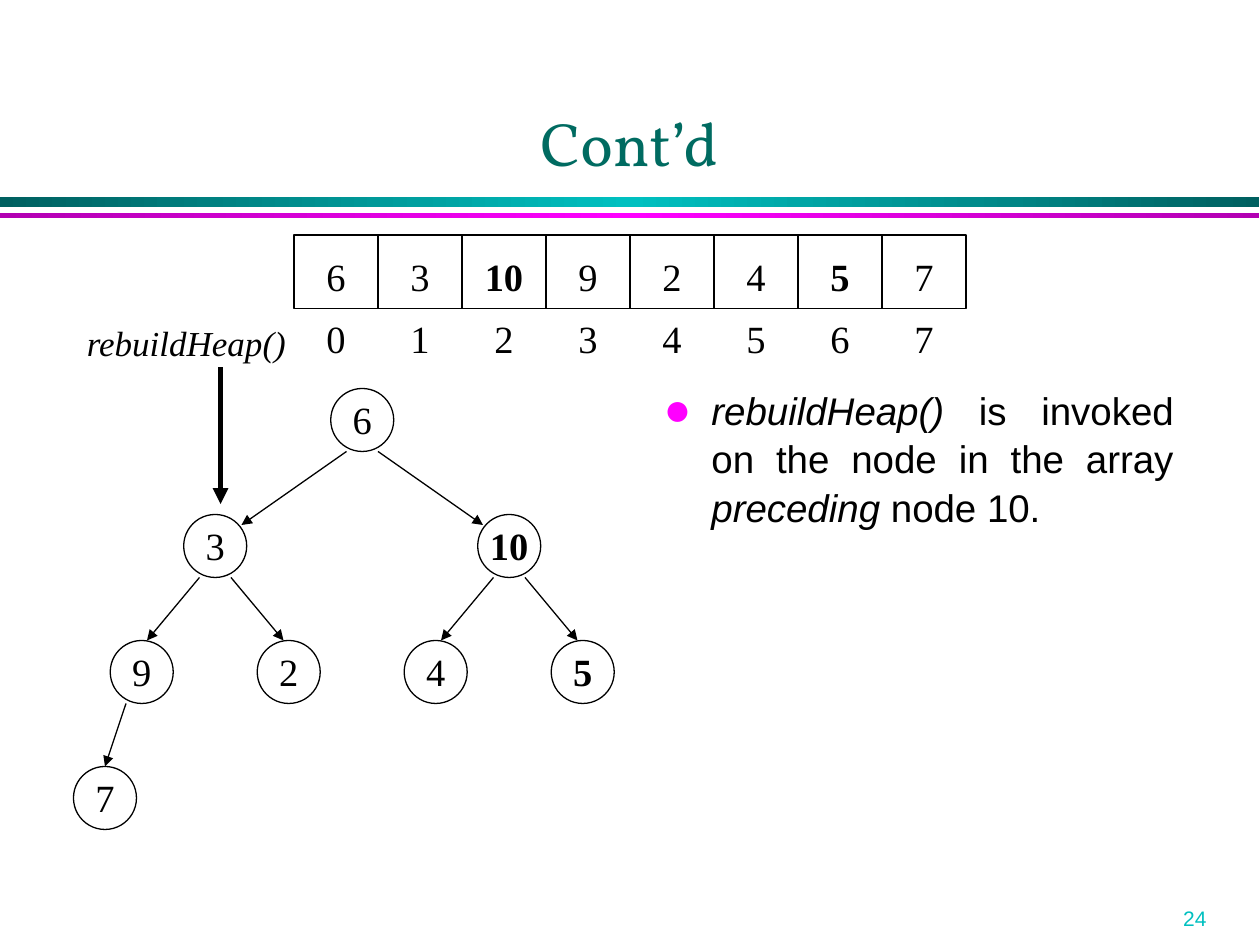
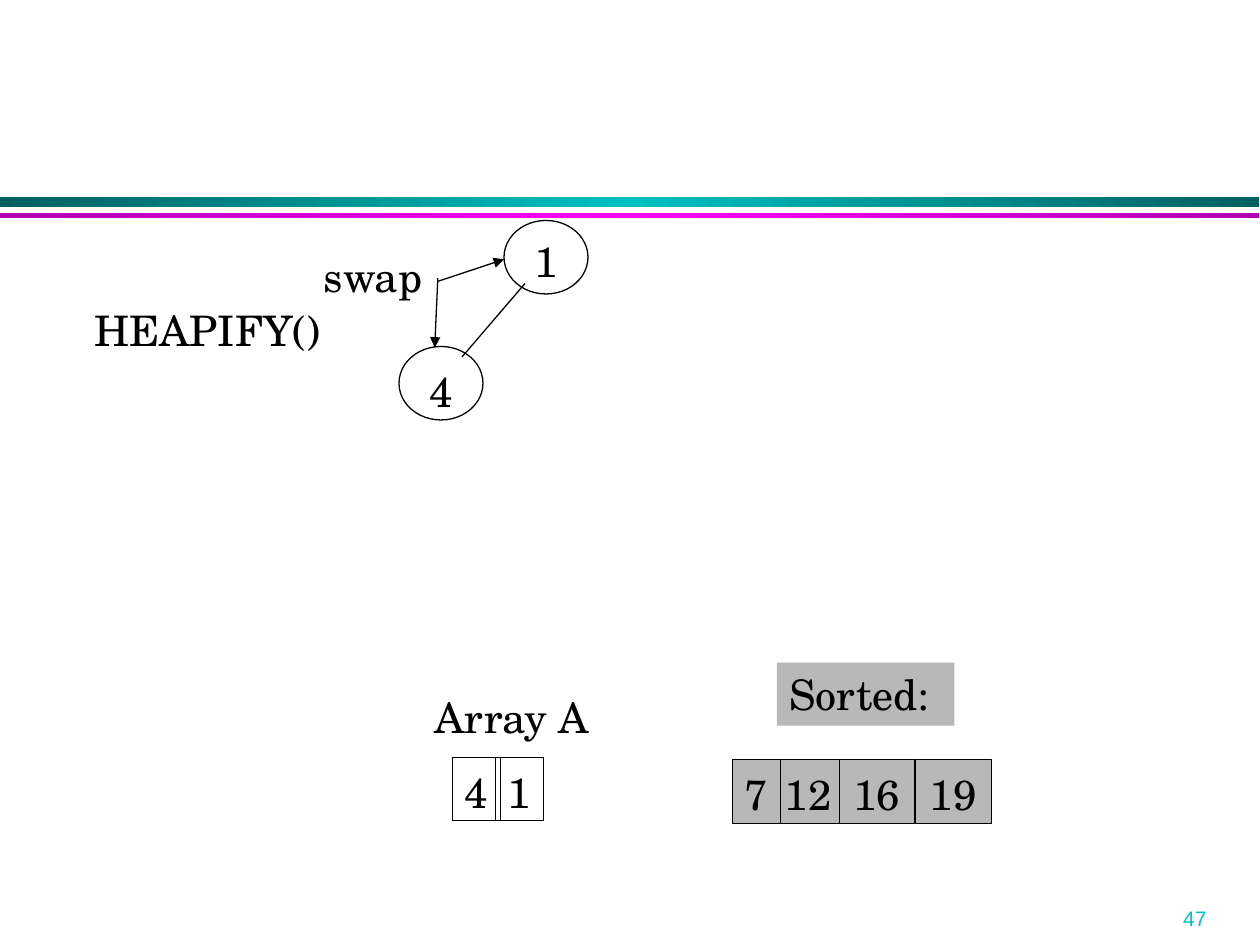
"""Build two heap slides: rebuilding a heap and swapping its root while sorting."""
import copy
from dataclasses import dataclass

import lxml.etree
import pptx
import pptx.dml.color
import pptx.enum.shapes
import pptx.enum.text
import pptx.oxml.ns
import pptx.util

COLUMNS, ROWS = 120, 90
WIDTH, HEIGHT = pptx.util.Inches(10), pptx.util.Inches(7.5)
BLACK, GREY, TITLE_GREEN, AQUA, MAGENTA = "000000", "B8B8B8", "006B61", "00C0C0", "FF00FF"
SANS, SERIF, SCHOOL, DISPLAY = "Arial", "Times New Roman", "TeX Gyre Schola", "Vollkorn"
ALIGN = pptx.enum.text.PP_ALIGN
ANCHOR = pptx.enum.text.MSO_ANCHOR
SHAPE = pptx.enum.shapes.MSO_SHAPE
INSETS = (0.1, 0.05, 0.1, 0.05)
NODE = 6
TREE_LEFT, TREE_TOP, TREE_SPAN, LEVEL_STEP = 6.5, 37, 56, 12


@dataclass(frozen=True)
class Box:
    """A rectangle in grid columns and rows."""
    column: float
    row: float
    columns: float
    rows: float

    def lengths(self) -> tuple[int, int, int, int]:
        """Return left, top, width and height."""
        return x(self.column), y(self.row), x(self.columns), y(self.rows)


@dataclass(frozen=True)
class Style:
    """How a text looks and sits in its box."""
    font: str
    size: float
    color: str = BLACK
    bold: bool = False
    italic: bool = False
    align: ALIGN = ALIGN.CENTER
    anchor: ANCHOR = ANCHOR.MIDDLE
    insets: tuple[float, float, float, float] = (0, 0, 0, 0)
    wrap: bool = False


@dataclass(frozen=True)
class Item:
    """A shape or label with one line of text."""
    text: str
    box: Box
    drop: float = 0
    fill: str | None = None


@dataclass(frozen=True)
class Band:
    """A gradient stripe below the title."""
    row: float
    rows: float
    edge: str
    middle: str


BANDS = (Band(18.76, 0.94, "006060", AQUA), Band(20.3, 0.48, "B200B2", MAGENTA))
NUMBER = Style(SANS, 12, AQUA, align=ALIGN.LEFT, anchor=ANCHOR.TOP, insets=INSETS)
TITLE = Style(DISPLAY, 35, TITLE_GREEN, anchor=ANCHOR.BOTTOM, insets=INSETS, wrap=True)
BODY = Style(SANS, 22, align=ALIGN.JUSTIFY, anchor=ANCHOR.TOP, insets=INSETS, wrap=True)
DIGIT, BOLD_DIGIT = Style(SERIF, 22), Style(SERIF, 22, bold=True)
CALL = Style(SERIF, 20, italic=True, align=ALIGN.LEFT, insets=INSETS, wrap=True)
SCHOOL_DIGIT = Style(SCHOOL, 24)
SCHOOL_LABEL = Style(SCHOOL, 24, align=ALIGN.LEFT, anchor=ANCHOR.TOP, insets=INSETS, wrap=True)

HEAP = ("6", "3", "10", "9", "2", "4", "5", "7")
BOLD_VALUES = ("10", "5")
TIP_SHIFTS = {1: (2.5, 1), 2: (0.5, 0), 3: (0, 0)}
EXPLANATION = (("rebuildHeap()", True), (" is invoked on the node in the array ", False),
               ("preceding", True), (" node 10.", False))

SWAP_NODES = (Item("1", Box(48, 21, 8, 7), 0.03), Item("4", Box(38, 33, 8, 7), 0.06))
SORTED_ROW, ARRAY_ROW, ARRAY_HEIGHT = 72.36, 72.12, 6.04
ARRAY_CELLS = tuple(
    Item(text, Box(column, SORTED_ROW if fill else ARRAY_ROW, columns, ARRAY_HEIGHT), 0.02, fill)
    for text, column, columns, fill in (
        ("19", 87.12, 7.32, GREY), ("12", 73.56, 6.84, GREY), ("16", 79.92, 7.2, GREY),
        ("1", 47.16, 4.56, None), ("4", 43.08, 4.56, None), ("7", 69.72, 4.56, GREY)))
SWAP_LABELS = (Item("Array A", Box(40.2, 65.28, 18.2, 6)), Item("HEAPIFY()", Box(7.8, 28.44, 24.9, 6)),
               Item("swap", Box(29.64, 23.28, 12.9, 6)),
               Item("Sorted:", Box(74, 63.12, 16.9, 6), fill=GREY))


def x(columns: float) -> int:
    """Turn grid columns into a length."""
    return round(WIDTH * columns / COLUMNS)


def y(rows: float) -> int:
    """Turn grid rows into a length."""
    return round(HEIGHT * rows / ROWS)


def rgb(color: str) -> pptx.dml.color.RGBColor:
    """Turn a hex string into a colour."""
    return pptx.dml.color.RGBColor.from_string(color)


def add_element(parent, tag: str, **attributes: str):
    """Append a drawing element with attributes."""
    element = lxml.etree.SubElement(parent, pptx.oxml.ns.qn(tag))
    for name, value in attributes.items():
        element.set(name, value)
    return element


def format_text(shape, style: Style, drop: float = 0) -> None:
    """Format the frame and first paragraph, lowering centred text by drop inches."""
    frame = shape.text_frame
    frame.auto_size = pptx.enum.text.MSO_AUTO_SIZE.NONE
    frame.word_wrap = style.wrap
    frame.vertical_anchor = style.anchor
    left, top, right, bottom = map(pptx.util.Inches, style.insets)
    frame.margin_left, frame.margin_right, frame.margin_bottom = left, right, bottom
    frame.margin_top = top + pptx.util.Inches(2 * drop)
    paragraph = frame.paragraphs[0]
    paragraph.alignment = style.align
    paragraph.space_before = pptx.util.Pt(0)
    font = paragraph.font
    font.name, font.size = style.font, pptx.util.Pt(style.size)
    font.bold, font.italic = style.bold, style.italic
    font.color.rgb = rgb(style.color)


def add_label(slide, text: str, box: Box, style: Style) -> None:
    """Add a text box."""
    label = slide.shapes.add_textbox(*box.lengths())
    label.text_frame.text = text
    format_text(label, style)


def add_shape(slide, kind: SHAPE, item: Item, style: Style, line: float = 0.75):
    """Add an outlined shape that holds its text; a line of 0 means none."""
    shape = slide.shapes.add_shape(kind, *item.box.lengths())
    shape.shadow.inherit = False
    if item.fill:
        shape.fill.solid()
        shape.fill.fore_color.rgb = rgb(item.fill)
    else:
        shape.fill.background()
    if line:
        shape.line.color.rgb = rgb(BLACK)
        shape.line.width = pptx.util.Pt(line)
    else:
        shape.line.fill.background()
    shape.text_frame.text = item.text
    format_text(shape, style, item.drop)
    return shape


def add_line(slide, start: tuple[float, float], end: tuple[float, float],
             width: float = 0.75, arrow: bool = True):
    """Add a straight line between two grid points."""
    connector = slide.shapes.add_connector(
        pptx.enum.shapes.MSO_CONNECTOR.STRAIGHT, x(start[0]), y(start[1]), x(end[0]), y(end[1]))
    connector.line.color.rgb = rgb(BLACK)
    connector.line.width = pptx.util.Pt(width)
    if arrow:
        add_element(connector.line._get_or_add_ln(), "a:tailEnd", type="triangle")
    add_element(connector._element.spPr, "a:effectLst")
    return connector


def add_band(slide, band: Band) -> None:
    """Add a stripe that brightens towards its middle."""
    shape = slide.shapes.add_shape(SHAPE.RECTANGLE, 0, y(band.row), x(119.9), y(band.rows))
    shape.shadow.inherit = False
    shape.line.fill.background()
    shape.fill.gradient()
    shape.fill.gradient_angle = 0
    stop_list = shape._element.spPr.find(".//" + pptx.oxml.ns.qn("a:gsLst"))
    stop_list.append(copy.deepcopy(stop_list[0]))
    colors = (band.edge, band.middle, band.edge)
    for stop, position, color in zip(shape.fill.gradient_stops, (0, 0.5, 1), colors):
        stop.position = position
        stop.color.rgb = rgb(color)


def start_slide(presentation, layout: int, number: str):
    """Add a slide with the bands and page number."""
    slide = presentation.slides.add_slide(presentation.slide_layouts[layout])
    for band in BANDS:
        add_band(slide, band)
    add_label(slide, number, Box(111.5, 85.68, 8, 3.6), NUMBER)
    return slide


def place(placeholder, box: Box) -> None:
    """Move a placeholder onto the grid."""
    placeholder.left, placeholder.top, placeholder.width, placeholder.height = box.lengths()


def fill_body(body) -> None:
    """Write the bulleted explanation."""
    place(body, Box(62, 36, 51, 47))
    paragraph = body.text_frame.paragraphs[0]
    for text, italic in EXPLANATION:
        run = paragraph.add_run()
        run.text = text
        run.font.italic = italic
    paragraph.line_spacing = 1.05
    properties = paragraph._p.get_or_add_pPr()
    indent = pptx.util.Inches(0.38)
    properties.set("marL", str(indent))
    properties.set("indent", str(-indent))
    add_element(add_element(properties, "a:buClr"), "a:srgbClr", val=MAGENTA)
    add_element(properties, "a:buSzPct", val="120000")
    add_element(properties, "a:buFont", typeface=SANS)
    add_element(properties, "a:buChar", char="●")
    format_text(body, BODY)


def digit_style(value: str) -> Style:
    """Choose the weight of a heap value."""
    return BOLD_DIGIT if value in BOLD_VALUES else DIGIT


def node_place(index: int) -> tuple[int, float, float]:
    """Return level, centre column and top row of a heap node."""
    level = (index + 1).bit_length() - 1
    position = index + 1 - 2 ** level
    center = TREE_LEFT + TREE_SPAN / 2 ** level * (position + 0.5)
    return level, center, TREE_TOP + LEVEL_STEP * level


def add_tree(slide) -> None:
    """Draw the heap as a binary tree."""
    for index, value in enumerate(HEAP):
        level, center, top = node_place(index)
        item = Item(value, Box(center - NODE / 2, top, NODE, NODE), -0.01)
        node = add_shape(slide, SHAPE.OVAL, item, digit_style(value))
        if level:
            _, parent_center, parent_top = node_place((index - 1) // 2)
            side = 1 if center > parent_center else -1
            shift, drop = TIP_SHIFTS[level]
            edge = add_line(slide, (parent_center + 1.5 * side, parent_top + NODE),
                            (center - shift * side, top + drop))
            if not shift:
                edge.end_connect(node, 0)


def add_array(slide) -> None:
    """Draw the heap as an array with its indices."""
    for index, value in enumerate(HEAP):
        column = 28 + 8 * index
        item = Item(value, Box(column, 22.4, 8, 7), 0.03)
        add_shape(slide, SHAPE.RECTANGLE, item, digit_style(value))
        add_label(slide, str(index), Box(column, 29.4, 8, 5.6), DIGIT)


def build_rebuild_slide(presentation) -> None:
    """Show the heap and the node to rebuild."""
    slide = start_slide(presentation, 1, "24")
    title = slide.shapes.title
    place(title, Box(4.44, 8.64, 111, 9))
    title.text_frame.text = "Cont’d"
    format_text(title, TITLE)
    fill_body(slide.placeholders[1])
    add_tree(slide)
    add_array(slide)
    add_label(slide, "rebuildHeap()", Box(7.08, 30, 22.5, 5.28), CALL)
    add_line(slide, (21, 35), (21, 48), 3)


def build_swap_slide(presentation) -> None:
    """Show the swap of the last two values."""
    slide = start_slide(presentation, 6, "47")
    title = slide.shapes.title
    if title is not None:
        title._element.getparent().remove(title._element)
    for node in SWAP_NODES:
        add_shape(slide, SHAPE.OVAL, node, SCHOOL_DIGIT)
    add_line(slide, (50, 27), (44, 34), arrow=False)
    for cell in ARRAY_CELLS:
        add_shape(slide, SHAPE.RECTANGLE, cell, SCHOOL_DIGIT, 0.25)
    for label in SWAP_LABELS:
        if label.fill:
            add_shape(slide, SHAPE.RECTANGLE, label, SCHOOL_LABEL, 0)
        else:
            add_label(slide, label.text, label.box, SCHOOL_LABEL)
    add_line(slide, (41.7, 26.5), (41.4, 33.1))
    add_line(slide, (41.7, 26.8), (48, 24.7))


def main() -> None:
    """Build and save the slides."""
    presentation = pptx.Presentation()
    presentation.slide_width, presentation.slide_height = WIDTH, HEIGHT
    build_rebuild_slide(presentation)
    build_swap_slide(presentation)
    presentation.save("out.pptx")


if __name__ == "__main__":
    main()
